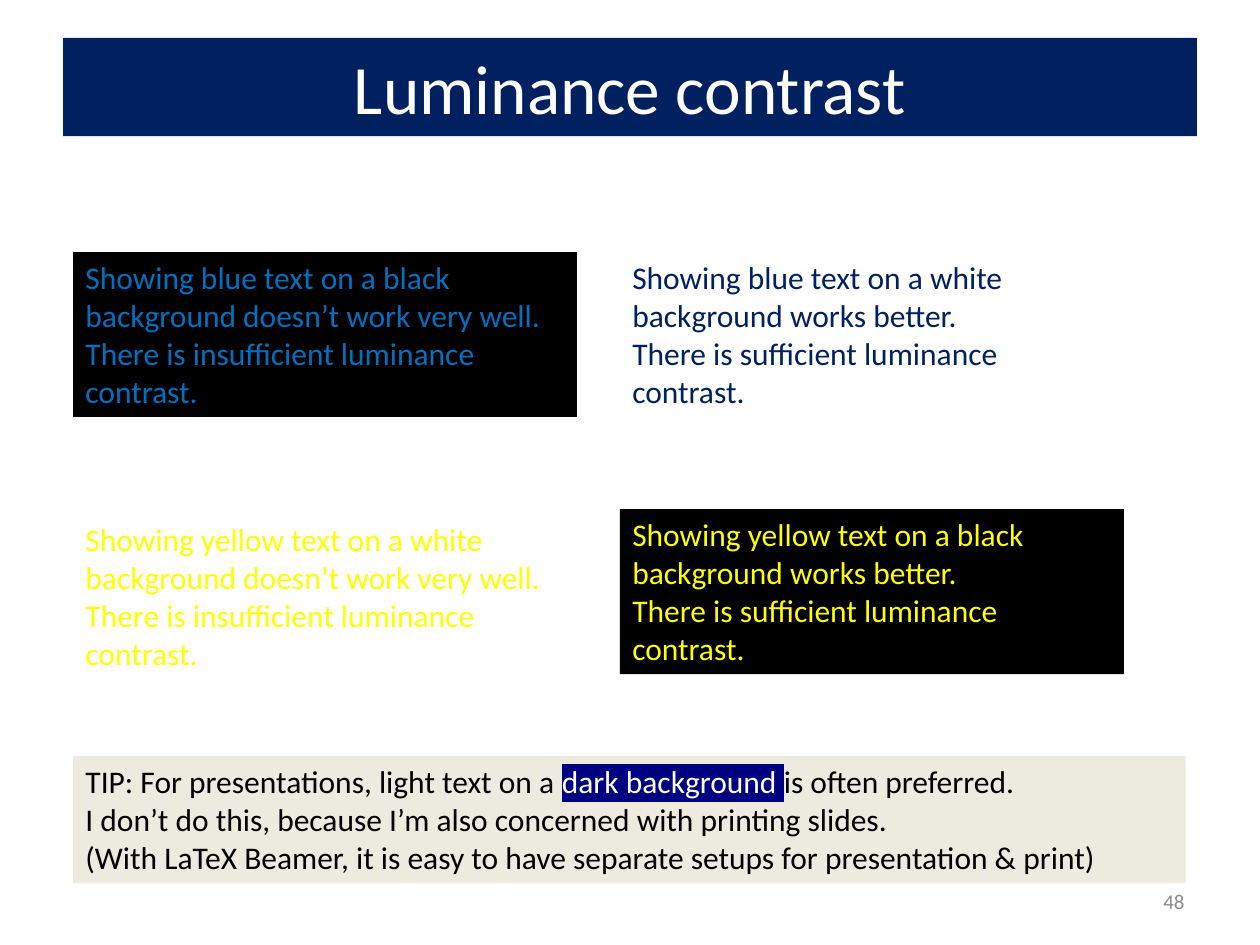
from lxml.etree import SubElement
from pptx import Presentation
from pptx.dml.color import RGBColor
from pptx.enum.text import MSO_ANCHOR as Anchor, MSO_AUTO_SIZE as AutoSize, PP_ALIGN as Align
from pptx.oxml import parse_xml
from pptx.oxml.ns import nsdecls, qn
from pptx.util import Inches, Pt

NAVY, BLUE, YELLOW = "002060", "0070C0", "FFFF00"
BLACK, WHITE, GREY, BEIGE = "000000", "FFFFFF", "8C8C8C", "DDD9C3"


def paint(fill, color):
    fill.solid()
    fill.fore_color.rgb = RGBColor.from_string(color)


def write(frame, paragraphs, size, align=Align.LEFT):
    """Fill a text frame; each paragraph is a list of (text, colour, highlight)."""
    frame.word_wrap = True
    for index, runs in enumerate(paragraphs):
        paragraph = frame.paragraphs[0] if index == 0 else frame.add_paragraph()
        paragraph.alignment = align
        for text, color, highlight in runs:
            run = paragraph.add_run()
            run.text = text
            run.font.size = Pt(size)
            run.font.name = "Calibri"
            paint(run.font.fill, color)
            if highlight:
                run.font._element.find(qn("a:solidFill")).addnext(parse_xml(
                    f'<a:highlight {nsdecls("a")}><a:srgbClr val="{highlight}"/></a:highlight>'))


presentation = Presentation()
presentation.slide_width = Inches(10)
presentation.slide_height = Inches(7.5)
slide = presentation.slides.add_slide(presentation.slide_layouts[5])
paint(slide.background.fill, WHITE)

# Title band
title = slide.shapes.title
title.left, title.top, title.width, title.height = map(Inches, (0.5, 0.3, 9, 0.78))
paint(title.fill, NAVY)
title.text_frame.vertical_anchor = Anchor.MIDDLE
title.text_frame.auto_size = AutoSize.NONE
write(title.text_frame, [[("Luminance contrast", WHITE, None)]], 39.6, Align.CENTER)

# Slide number
number = slide.shapes.add_textbox(*map(Inches, (7.17, 6.95, 2.33, 0.4)))
number.text_frame.vertical_anchor = Anchor.MIDDLE
write(number.text_frame, [[("48", GREY, None)]], 12, Align.RIGHT)

# Weak contrast on the left, strong contrast on the right
left, right = 0.58, 4.92
WEAK = ("doesn’t work very well.", "There is insufficient luminance contrast.")
STRONG = ("works better.", "There is sufficient luminance contrast.")
samples = [
    (left, 2, "blue", BLUE, "black", WEAK),
    (right, 2, "blue", NAVY, "white", STRONG),
    (left, 4.08, "yellow", YELLOW, "white", WEAK),
    (right, 4.04, "yellow", YELLOW, "black", STRONG),
]
for x, y, text_name, color, ground, (verdict, reason) in samples:
    sample = slide.shapes.add_textbox(Inches(x), Inches(y), Inches(4), Inches(1.31))
    if ground == "black":
        paint(sample.fill, BLACK)
    sample.text_frame.auto_size = AutoSize.SHAPE_TO_FIT_TEXT
    opening = f"Showing {text_name} text on a {ground} background {verdict}"
    write(sample.text_frame, [[(opening, color, None)], [(reason, color, None)]], 18)

# Tip on a half-transparent panel
tip = slide.shapes.add_textbox(Inches(left), Inches(6), Inches(8.83), Inches(1.01))
paint(tip.fill, BEIGE)
panel_color = tip._element.spPr.find(qn("a:solidFill")).find(qn("a:srgbClr"))
SubElement(panel_color, qn("a:alpha"), val="50000")
tip.text_frame.auto_size = AutoSize.SHAPE_TO_FIT_TEXT
write(tip.text_frame, [
    [("TIP: For presentations, light text on a ", BLACK, None),
     ("dark background ", WHITE, "000080"),
     ("is often preferred.", BLACK, None)],
    [("I don’t do this, because I’m also concerned with printing slides.", BLACK, None)],
    [("(With LaTeX Beamer, it is easy to have separate setups for presentation & print)",
      BLACK, None)],
], 18)

presentation.save("out.pptx")
